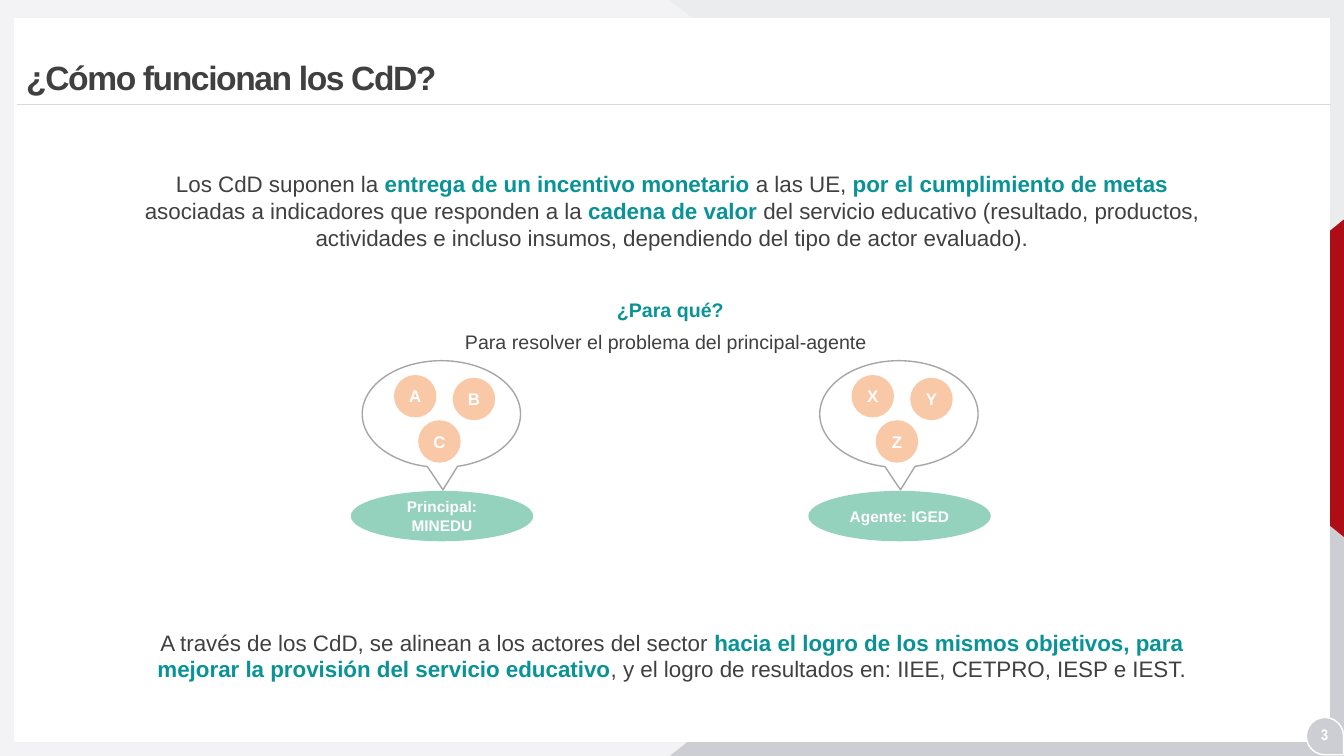
from pptx import Presentation
from pptx.dml.color import RGBColor
from pptx.enum.shapes import MSO_CONNECTOR, MSO_SHAPE
from pptx.enum.text import MSO_ANCHOR, MSO_AUTO_SIZE, PP_ALIGN
from pptx.oxml.ns import qn
from pptx.util import Cm, Pt
from lxml.etree import SubElement

COLORS = {
    "white": "FFFFFF", "backdrop": "F3F3F5", "light": "EBECEE",
    "silver": "CDCED3", "red": "AF0D15", "rule": "D9D9D9",
    "text": "404040", "teal": "0A9396", "mint": "94D2BD",
    "peach": "F9C8A7", "outline": "A6A6A6",
}
SLIDE_WIDTH, SLIDE_HEIGHT = 33.87, 19.05
CIRCLE_SIZE = 1.07
CIRCLE_OFFSETS = [(1.09, 0.36), (2.57, 0.43), (1.7, 1.5)]


def color(name):
    return RGBColor.from_string(COLORS[name])


def add_box(page, kind, box, fill=None, line=None):
    """Add a preset shape in a (left, top, width, height) box in cm."""
    shape = page.shapes.add_shape(kind, *map(Cm, box))
    shape.shadow.inherit = False
    if fill:
        shape.fill.solid()
        shape.fill.fore_color.rgb = color(fill)
    else:
        shape.fill.background()
    if line:
        shape.line.color.rgb = color(line)
        shape.line.width = Pt(1)
    else:
        shape.line.fill.background()
    return shape


def style_span(span, size, name, bold=False, font="Arial"):
    span.font.name = font
    span.font.size = Pt(size)
    span.font.bold = bold
    span.font.color.rgb = color(name)


def write(shape, text, size, name, bold=False, font="Arial", inset=0.25):
    frame = shape.text_frame
    frame.word_wrap = True
    frame.vertical_anchor = MSO_ANCHOR.MIDDLE
    frame.margin_left = frame.margin_right = Cm(inset)
    frame.text = text
    para = frame.paragraphs[0]
    para.alignment = PP_ALIGN.CENTER
    style_span(para.runs[0], size, name, bold, font)


def add_text(page, box, text, *style, **options):
    write(page.shapes.add_textbox(*map(Cm, box)), text, *style, **options)


def add_backdrop(page, width, height):
    add_box(page, MSO_SHAPE.RECTANGLE, (0, 0, width, height), "backdrop")
    # Corner triangles, the upper one mirrored
    side, drop = 16.99, 13.49
    for top, fill in ((0, "light"), (height - drop, "silver")):
        corner = add_box(page, MSO_SHAPE.ISOSCELES_TRIANGLE,
                         (width - side, top, side, drop), fill)
        corner.adjustments[0] = 1
        if top == 0:
            corner.element.spPr.find(qn("a:xfrm")).set("flipV", "1")
    marker = add_box(page, MSO_SHAPE.ISOSCELES_TRIANGLE,
                     (27.38, 7.04, 8, 4.98), "red")
    marker.rotation = 270
    # White panel
    add_box(page, MSO_SHAPE.RECTANGLE, (0.38, 0.46, 33.12, 18.21),
            "white", "white")


def add_page_number(page, left, top, number):
    size = 0.94
    drop = add_box(page, MSO_SHAPE.TEAR, (left, top, size, size),
                   "silver", "white")
    drop.rotation = 90
    add_text(page, (left - 0.08, top + 0.18, 1.09, 0.51), number, 11, "white",
             bold=True, font="Arial Narrow", inset=0)


def add_title(page, box, text):
    title = page.shapes.title
    title.left, title.top, title.width, title.height = map(Cm, box)
    write(title, text, 24, "text", bold=True)
    title.text_frame.auto_size = MSO_AUTO_SIZE.NONE
    para = title.text_frame.paragraphs[0]
    para.alignment = PP_ALIGN.LEFT
    para.runs[0].font.element.set("spc", "-100") if hasattr(
        para.runs[0].font, "element") else para.runs[0]._r.get_or_add_rPr().set("spc", "-100")
    # Rule under the title
    rule = page.shapes.add_connector(MSO_CONNECTOR.STRAIGHT, Cm(33.53),
                                     Cm(2.64), Cm(0.43), Cm(2.64))
    rule.line.color.rgb = color("rule")
    rule.line.width = Pt(0.5)
    SubElement(rule.element.spPr, qn("a:effectLst"))


def add_statement(page, box, parts):
    """Centred paragraph whose every second part is highlighted."""
    shape = add_box(page, MSO_SHAPE.RECTANGLE, box, "white")
    frame = shape.text_frame
    frame.word_wrap = True
    frame.vertical_anchor = MSO_ANCHOR.MIDDLE
    para = frame.paragraphs[0]
    para.alignment = PP_ALIGN.CENTER
    for index, part in enumerate(parts):
        span = para.add_run()
        span.text = part
        marked = index % 2 == 1
        style_span(span, 16, "teal" if marked else "text", marked)


def add_actor(page, left, top, name, letters):
    # Label, lettered goals, then the thought bubble around them
    label = add_box(page, MSO_SHAPE.OVAL, (left, top + 3.28, 4.6, 1.27), "mint")
    write(label, name, 11, "white", bold=True)
    for letter, (dx, dy) in zip(letters, CIRCLE_OFFSETS):
        circle = add_box(page, MSO_SHAPE.OVAL,
                         (left + dx, top + dy, CIRCLE_SIZE, CIRCLE_SIZE), "peach")
        write(circle, letter, 12, "white", bold=True, inset=0)
    bubble = add_box(page, MSO_SHAPE.OVAL_CALLOUT,
                     (left + 0.29, top, 3.99, 2.69), line="outline")
    bubble.adjustments[0] = 0.01
    bubble.adjustments[1] = 0.71


def main():
    deck = Presentation()
    deck.slide_width, deck.slide_height = Cm(SLIDE_WIDTH), Cm(SLIDE_HEIGHT)
    page = deck.slides.add_slide(deck.slide_layouts[5])

    add_backdrop(page, SLIDE_WIDTH, SLIDE_HEIGHT)
    add_page_number(page, 32.92, 18.08, "3")
    # Bring the title placeholder in front of the backdrop
    page.shapes.element.append(page.shapes.title.element)
    add_title(page, (0.41, 0.97, 32.05, 1.93), "¿Cómo funcionan los CdD?")

    add_statement(page, (2.95, 3.86, 27.97, 2.9), [
        "Los CdD suponen la ", "entrega de un incentivo monetario ",
        "a las UE, ", "por el cumplimiento de metas ",
        "asociadas a indicadores que responden a la ", "cadena de valor ",
        "del servicio educativo (resultado, productos, actividades e incluso "
        "insumos, dependiendo del tipo de actor evaluado).",
    ])
    add_text(page, (8.69, 7.37, 16.41, 0.86), "¿Para qué?", 14, "teal", bold=True)
    add_text(page, (9.42, 8.08, 14.73, 1.07),
             "Para resolver el problema del principal-agente", 14, "text")
    add_actor(page, 8.84, 9.09, "Principal: MINEDU", "ABC")
    add_actor(page, 20.37, 9.09, "Agente: IGED", "XYZ")
    add_statement(page, (2.95, 15.44, 27.97, 2.16), [
        "A través de los CdD, se alinean a los actores del sector ",
        "hacia el logro de los mismos objetivos, para mejorar la provisión "
        "del servicio educativo",
        ", y el logro de resultados en: IIEE, CETPRO, IESP e IEST.",
    ])
    deck.save("out.pptx")


if __name__ == "__main__":
    main()
